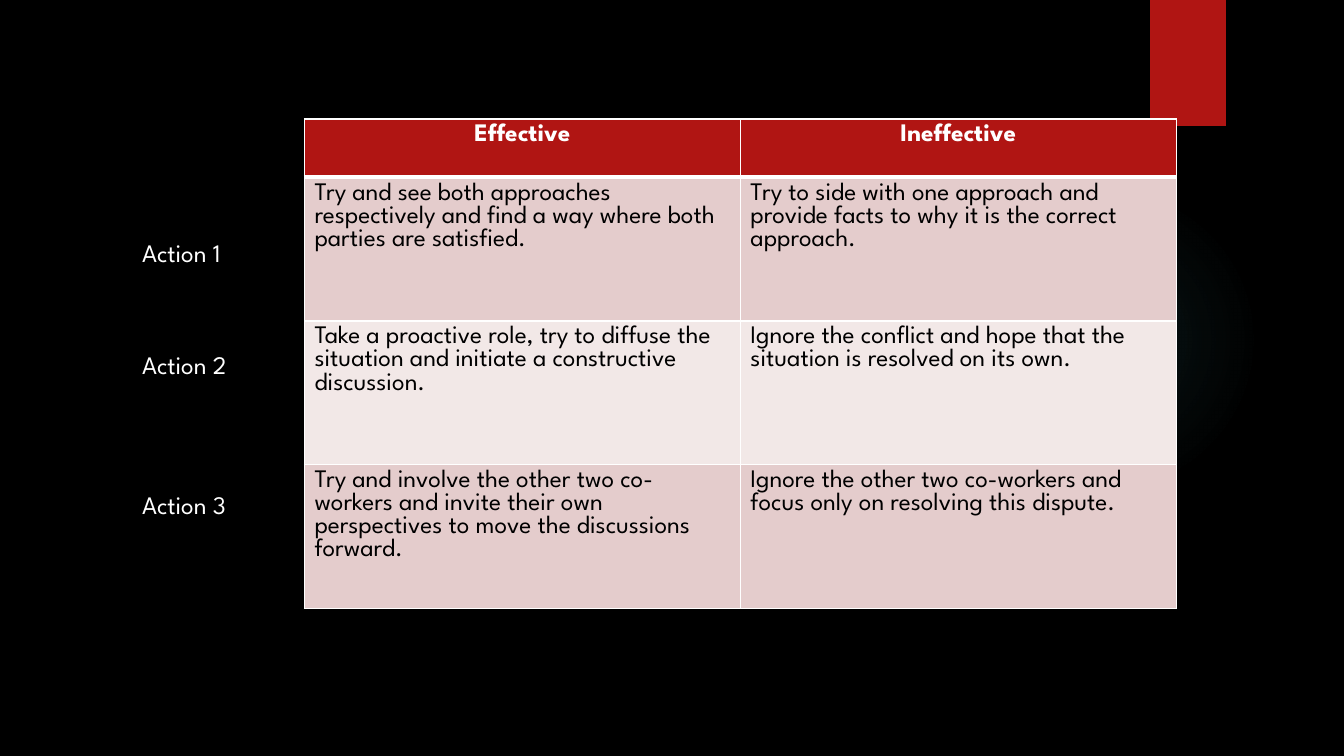
from dataclasses import dataclass

from lxml.etree import SubElement
from pptx import Presentation
from pptx.dml.color import RGBColor
from pptx.enum.shapes import MSO_SHAPE
from pptx.enum.text import MSO_AUTO_SIZE, PP_ALIGN
from pptx.oxml import parse_xml
from pptx.oxml.ns import nsdecls, qn
from pptx.shapes.autoshape import Shape
from pptx.slide import Slide
from pptx.table import _Cell
from pptx.text.text import TextFrame
from pptx.util import Inches, Pt

WIDTH = Inches(13.333)
HEIGHT = Inches(7.5)
FONT = "League Spartan"
BLACK, WHITE, RED, TEAL = "000000", "FFFFFF", "B01513", "50B9C1"
BANDS = ["E4CCCC", "F2E8E7"]


@dataclass
class Box:
    left: float
    top: float
    width: float
    height: float

    def place(self) -> tuple[int, int, int, int]:
        return (across(self.left), down(self.top),
                across(self.width), down(self.height))


@dataclass
class Action:
    label: str
    top: float
    good: str
    bad: str


GLOW = Box(70.58, 24.4, 23.1, 41.07)
TAB = Box(85.58, 0, 5.63, 16.67)
GRID = Box(22.65, 15.73, 64.88, 64.73)
HEAD = 7.73
TITLES = ["Effective", "Ineffective"]
ACTIONS = [
    Action("Action 1", 30.67,
           "Try and see both approaches respectively and find a way where "
           "both parties are satisfied.",
           "Try to side with one approach and provide facts to why it is "
           "the correct approach."),
    Action("Action 2", 45.6,
           "Take a proactive role, try to diffuse the situation and initiate "
           "a constructive discussion.",
           "Ignore the conflict and hope that the situation is resolved on "
           "its own."),
    Action("Action 3", 64,
           "Try and involve the other two co-workers and invite their own "
           "perspectives to move the discussions forward.",
           "Ignore the other two co-workers and focus only on resolving this "
           "dispute."),
]


def across(share: float) -> int:
    return round(WIDTH * share / 100)


def down(share: float) -> int:
    return round(HEIGHT * share / 100)


def paint(target, shade: str) -> None:
    target.fill.solid()
    target.fill.fore_color.rgb = RGBColor.from_string(shade)


def write(frame: TextFrame, text: str, shade: str, bold: bool = False) -> None:
    frame.text = text
    font = frame.paragraphs[0].runs[0].font
    font.name, font.size, font.bold = FONT, Pt(18), bold
    font.color.rgb = RGBColor.from_string(shade)


def add_form(slide: Slide, kind: MSO_SHAPE, box: Box, shade: str) -> Shape:
    form = slide.shapes.add_shape(kind, *box.place())
    form.shadow.inherit = False
    form.line.fill.background()
    paint(form, shade)
    return form


def fade(form: Shape, shade: str) -> None:
    stops = "".join(
        f'<a:gs pos="{spot * 1000}"><a:srgbClr val="{shade}">'
        f'<a:alpha val="{alpha * 1000}"/></a:srgbClr></a:gs>'
        for spot, alpha in [(0, 7), (36, 6), (69, 0)])
    blend = parse_xml(
        f'<a:gradFill {nsdecls("a")}><a:gsLst>{stops}</a:gsLst>'
        '<a:path path="circle"><a:fillToRect l="50000" t="50000" '
        'r="50000" b="50000"/></a:path></a:gradFill>')
    props = form._element.spPr
    props.replace(props.find(qn("a:solidFill")), blend)


def edge(cell: _Cell, top: float, bottom: float) -> None:
    props = cell._tc.get_or_add_tcPr()
    for side, width in {"L": 1, "R": 1, "T": top, "B": bottom}.items():
        line = SubElement(props, qn(f"a:ln{side}"), w=str(Pt(width)))
        solid = SubElement(line, qn("a:solidFill"))
        SubElement(solid, qn("a:srgbClr"), val=WHITE)


def add_grid(slide: Slide) -> None:
    count = len(ACTIONS)
    table = slide.shapes.add_table(
        count + 1, len(TITLES), *GRID.place()).table
    table.first_row = table.horz_banding = False
    for column in table.columns:
        column.width = across(GRID.width / len(TITLES))
    texts = [TITLES] + [[act.good, act.bad] for act in ACTIONS]
    for row, pair in enumerate(texts):
        head = row == 0
        table.rows[row].height = down(
            HEAD if head else (GRID.height - HEAD) / count)
        for col, text in enumerate(pair):
            cell = table.cell(row, col)
            edge(cell, 3 if row == 1 else 1, 3 if head else 1)
            paint(cell, RED if head else BANDS[(row - 1) % 2])
            write(cell.text_frame, text, WHITE if head else BLACK, head)
            if head:
                cell.text_frame.paragraphs[0].alignment = PP_ALIGN.CENTER


def add_label(slide: Slide, act: Action) -> None:
    box = Box(9.83, act.top, 13.65, 5.33)
    frame = slide.shapes.add_textbox(*box.place()).text_frame
    frame.word_wrap = True
    frame.auto_size = MSO_AUTO_SIZE.SHAPE_TO_FIT_TEXT
    write(frame, act.label, WHITE)


def main() -> None:
    deck = Presentation()
    deck.slide_width, deck.slide_height = WIDTH, HEIGHT
    slide = deck.slides.add_slide(deck.slide_layouts[6])
    paint(slide.background, BLACK)
    fade(add_form(slide, MSO_SHAPE.OVAL, GLOW, TEAL), TEAL)
    add_form(slide, MSO_SHAPE.RECTANGLE, TAB, RED)
    add_grid(slide)
    for act in ACTIONS:
        add_label(slide, act)
    deck.save("out.pptx")


if __name__ == "__main__":
    main()
